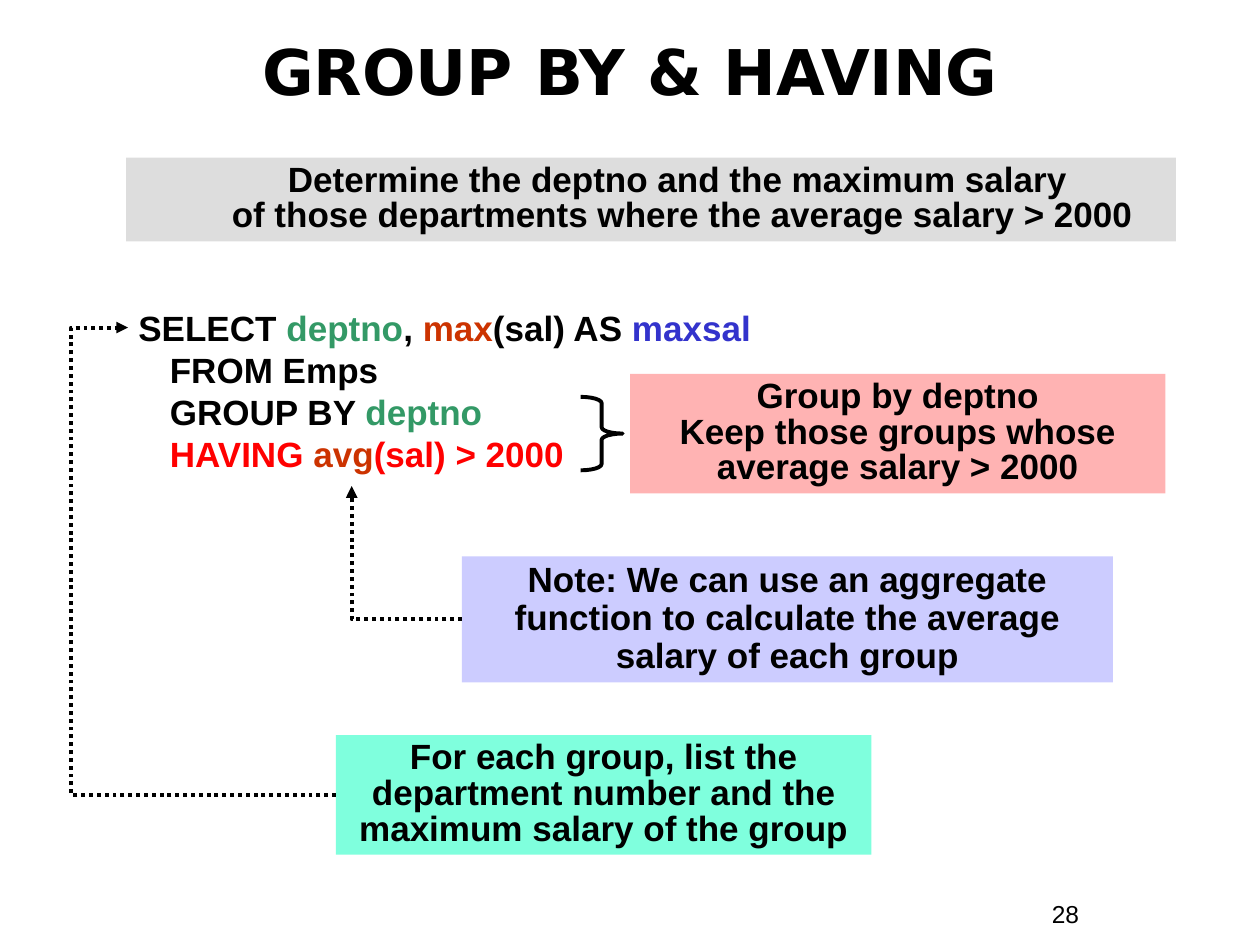
from dataclasses import dataclass

from lxml import etree
from pptx import Presentation
from pptx.dml.color import RGBColor
from pptx.enum import dml, shapes, text
from pptx.oxml import ns
from pptx.util import Inches, Pt

WIDTH, HEIGHT = 10, 7.5
COLUMN, ROW = WIDTH / 120, HEIGHT / 90

BLACK = RGBColor(0x00, 0x00, 0x00)
GREEN = RGBColor(0x33, 0x99, 0x66)
RUST = RGBColor(0xCC, 0x33, 0x00)
BLUE = RGBColor(0x33, 0x33, 0xCC)
RED = RGBColor(0xFF, 0x00, 0x00)
GRAY = RGBColor(0xDD, 0xDD, 0xDD)
PINK = RGBColor(0xFF, 0xB3, 0xB3)
LAVENDER = RGBColor(0xCC, 0xCC, 0xFF)
MINT = RGBColor(0x7F, 0xFF, 0xDD)


@dataclass(frozen=True)
class Area:
    column: float
    row: float
    columns: float
    rows: float

    def lengths(self) -> tuple[int, int, int, int]:
        return (across(self.column), down(self.row),
                across(self.columns), down(self.rows))


@dataclass(frozen=True)
class Note:
    wording: str
    area: Area
    fill: RGBColor
    spacing: float = 0.85
    indent: float = 0


@dataclass(frozen=True)
class Label:
    wording: str
    area: Area
    font: str
    size: float
    bold: bool = False
    align: text.PP_ALIGN = text.PP_ALIGN.LEFT
    anchor: text.MSO_ANCHOR = text.MSO_ANCHOR.TOP


@dataclass(frozen=True)
class Pointer:
    start: tuple[float, float]
    end: tuple[float, float]
    preset: str
    bend: int | None = None


LABELS = [
    Label("28", Area(99, 85, 11, 4), "Arial", 14),
    Label("GROUP BY & HAVING", Area(4, 1.2, 112, 11), "DejaVu Sans", 36, True,
          text.PP_ALIGN.CENTER, text.MSO_ANCHOR.MIDDLE),
]
NOTES = [
    Note("Determine the deptno and the maximum salary \v"
         "of those departments where the average salary > 2000",
         Area(12, 15, 100, 8), GRAY, indent=0.5),
    Note("Group by deptno\vKeep those groups whose average salary > 2000",
         Area(60, 35.6, 51, 11.4), PINK),
    Note("Note: We can use an aggregate function to calculate "
         "the average salary of each group",
         Area(44, 53, 62, 12), LAVENDER, 0.9),
    Note("For each group, list the department number "
         "and the maximum salary of the group",
         Area(32, 70, 51, 11.4), MINT),
]
QUERY_AREA = Area(12, 28.6, 65, 17.3)
QUERY = [
    [("SELECT ", BLACK), ("deptno", GREEN), (", ", BLACK), ("max", RUST),
     ("(sal) AS ", BLACK), ("maxsal", BLUE)],
    [("FROM Emps", BLACK)],
    [("GROUP BY ", BLACK), ("deptno", GREEN)],
    [("HAVING ", RED), ("avg", RUST), ("(sal) > 2000", RED)],
]
BRACE_AREA = Area(55.3, 37.8, 4, 7)
POINTERS = [
    Pointer((32, 75.7), (12.2, 31.2), "bentConnector3", 127400),
    Pointer((44, 59), (33.5, 46.3), "bentConnector2"),
]


def across(columns: float) -> int:
    return Inches(columns * COLUMN)


def down(rows: float) -> int:
    return Inches(rows * ROW)


def style(font, color: RGBColor, size: float = 20, name: str = "Arial",
          bold: bool = True) -> None:
    font.name, font.size, font.bold = name, Pt(size), bold
    font.color.rgb = color


def add_label(page, label: Label) -> None:
    frame = page.shapes.add_textbox(*label.area.lengths()).text_frame
    frame.word_wrap = True
    frame.vertical_anchor = label.anchor
    frame.text = label.wording
    para = frame.paragraphs[0]
    para.alignment = label.align
    for span in para.runs:
        style(span.font, BLACK, label.size, label.font, label.bold)


def add_note(page, note: Note) -> None:
    box = page.shapes.add_shape(shapes.MSO_SHAPE.RECTANGLE, *note.area.lengths())
    box.shadow.inherit = False
    box.fill.solid()
    box.fill.fore_color.rgb = note.fill
    box.line.fill.background()
    frame = box.text_frame
    frame.word_wrap = True
    frame.vertical_anchor = text.MSO_ANCHOR.TOP
    frame.text = note.wording
    para = frame.paragraphs[0]
    para.alignment = text.PP_ALIGN.CENTER
    para.line_spacing = note.spacing
    if note.indent:
        para._p.get_or_add_pPr().set("marL", str(Inches(note.indent)))
    for span in para.runs:
        style(span.font, BLACK)


def add_query(page) -> None:
    frame = page.shapes.add_textbox(*QUERY_AREA.lengths()).text_frame
    frame.word_wrap = True
    para = frame.paragraphs[0]
    properties = para._p.get_or_add_pPr()
    properties.set("marL", str(Inches(0.25)))
    properties.set("indent", str(-Inches(0.25)))
    for number, line in enumerate(QUERY):
        if number:
            para.add_line_break()
        for wording, color in line:
            span = para.add_run()
            span.text = wording
            style(span.font, color)


def add_brace(page) -> None:
    brace = page.shapes.add_shape(shapes.MSO_SHAPE.RIGHT_BRACE, *BRACE_AREA.lengths())
    brace.shadow.inherit = False
    brace.adjustments[0] = 0.15
    brace.fill.background()
    brace.line.color.rgb = BLACK
    brace.line.width = Pt(2.25)


def add_pointer(page, pointer: Pointer) -> None:
    (left, top), (right, bottom) = pointer.start, pointer.end
    arrow = page.shapes.add_connector(
        shapes.MSO_CONNECTOR.ELBOW,
        across(left), down(top), across(right), down(bottom))
    arrow.line.color.rgb = BLACK
    arrow.line.width = Pt(2.25)
    arrow.line.dash_style = dml.MSO_LINE.ROUND_DOT
    properties = arrow._element.spPr
    outline = properties.find(ns.qn("a:ln"))
    etree.SubElement(outline, ns.qn("a:tailEnd"), type="triangle")
    etree.SubElement(properties, ns.qn("a:effectLst"))
    geometry = properties.find(ns.qn("a:prstGeom"))
    geometry.set("prst", pointer.preset)
    if pointer.bend is not None:
        guides = geometry.find(ns.qn("a:avLst"))
        etree.SubElement(guides, ns.qn("a:gd"), name="adj1",
                         fmla=f"val {pointer.bend}")


def main() -> None:
    deck = Presentation()
    deck.slide_width, deck.slide_height = Inches(WIDTH), Inches(HEIGHT)
    page = deck.slides.add_slide(deck.slide_layouts[6])
    for label in LABELS:
        add_label(page, label)
    add_query(page)
    for note in NOTES:
        add_note(page, note)
    add_brace(page)
    for pointer in POINTERS:
        add_pointer(page, pointer)
    deck.save("out.pptx")


if __name__ == "__main__":
    main()
